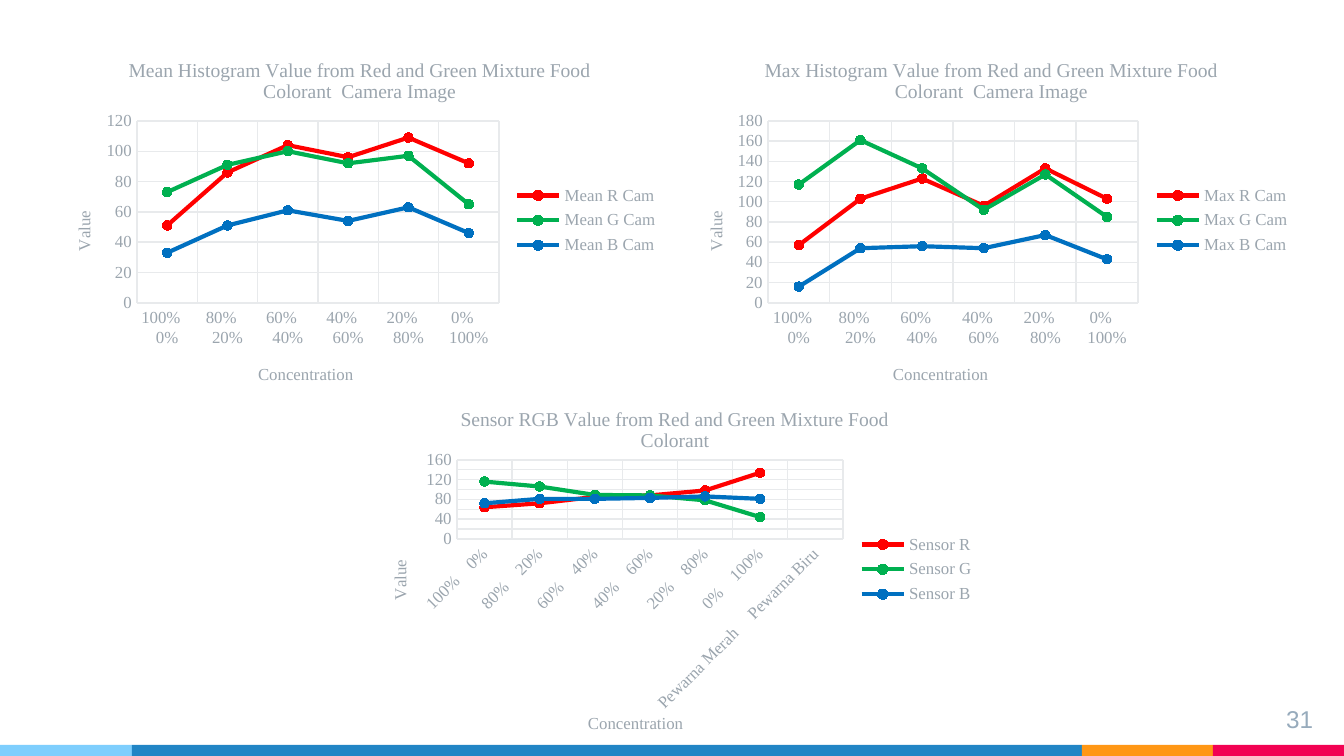
from pptx import Presentation
from pptx.chart.data import CategoryChartData
from pptx.dml.color import RGBColor
from pptx.enum.chart import XL_CHART_TYPE, XL_LEGEND_POSITION, XL_MARKER_STYLE, XL_TICK_MARK
from pptx.enum.shapes import MSO_SHAPE
from pptx.enum.text import PP_ALIGN
from pptx.oxml import parse_xml
from pptx.oxml.ns import nsdecls, qn
from pptx.util import Pt

PX = 914400 / 134.4
WIDE, HIGH = 632, 371  # size of each chart
FONT = "Times New Roman"
RED = RGBColor(0xFF, 0x00, 0x00)
GREEN = RGBColor(0x00, 0xB0, 0x50)
BLUE = RGBColor(0x00, 0x70, 0xC0)
GRAY = RGBColor(0x9B, 0xA5, 0xAE)
GRID = RGBColor(0xE8, 0xEA, 0xEC)
PAGE = RGBColor(0x97, 0xAB, 0xBC)
SKY = RGBColor(0x7E, 0xCE, 0xFD)
NAVY = RGBColor(0x21, 0x85, 0xC5)
AMBER = RGBColor(0xFF, 0x97, 0x15)
PINK = RGBColor(0xF2, 0x02, 0x53)


def place(node, left, top, width=None, height=None):
    """Fix a chart part at px offsets inside its chart."""
    tags = '<c:xMode val="edge"/><c:yMode val="edge"/>'
    if width:
        tags = '<c:layoutTarget val="inner"/>' + tags
    tags += f'<c:x val="{left / WIDE:.4f}"/><c:y val="{top / HIGH:.4f}"/>'
    if width:
        tags += f'<c:w val="{width / WIDE:.4f}"/><c:h val="{height / HIGH:.4f}"/>'
    for old in node.findall(qn("c:layout")):
        node.remove(old)
    layout = parse_xml(f'<c:layout {nsdecls("c")}><c:manualLayout>{tags}</c:manualLayout></c:layout>')
    text = node.find(qn("c:tx"))
    if text is None:
        node.insert(0, layout)
    else:
        text.addnext(layout)


def label(title, text, size, left, top):
    """Write and place a chart or axis title."""
    title.text_frame.text = text
    font = title.text_frame.paragraphs[0].runs[0].font
    font.size, font.name, font.bold = Pt(size), FONT, False
    font.color.rgb = GRAY
    place(title._element, left, top)


deck = Presentation()
deck.slide_width, deck.slide_height = int(1344 * PX), int(756 * PX)
slide = deck.slides.add_slide(deck.slide_layouts[6])

# Footer stripe
left = 0
for width, color in [(132, SKY), (950, NAVY), (131, AMBER), (131, PINK)]:
    bar = slide.shapes.add_shape(MSO_SHAPE.RECTANGLE, int(left * PX), int(745 * PX),
                                 int(width * PX), int(11 * PX))
    bar.shadow.inherit = False
    bar.fill.solid()
    bar.fill.fore_color.rgb = color
    bar.line.fill.background()
    left += width

# Page number
box = slide.shapes.add_textbox(int(1246 * PX), int(691 * PX), int(80 * PX), int(46 * PX))
frame = box.text_frame
frame.word_wrap = True
frame.margin_left = frame.margin_right = frame.margin_top = frame.margin_bottom = int(13 * PX)
frame.text = "31"
line = frame.paragraphs[0]
line.alignment = PP_ALIGN.RIGHT
font = line.runs[0].font
font.size, font.name = Pt(13), "Arial"
font.color.rgb = PAGE

# Charts: place, title, title left, axis name left, plot box, top value, extra categories, series
MIXES = ["100%    0%", "80%    20%", "60%    40%", "40%    60%", "20%    80%", "0%    100%"]
CHARTS = [
    (40, 35, "Mean Histogram Value from Red and Green Mixture Food Colorant  Camera Image",
     85, 215, (97, 86, 362, 182), 120, [],
     {"Mean R Cam": (51, 86, 104, 96, 109, 92),
      "Mean G Cam": (73, 91, 100, 92, 97, 65),
      "Mean B Cam": (33, 51, 61, 54, 63, 46)}),
    (672, 35, "Max Histogram Value from Red and Green Mixture Food Colorant  Camera Image",
     89, 218, (96, 86, 370, 182), 180, [],
     {"Max R Cam": (57, 103, 123, 96, 133, 103),
      "Max G Cam": (117, 161, 133, 92, 127, 85),
      "Max B Cam": (16, 54, 56, 54, 67, 43)}),
    (356, 384, "Sensor RGB Value from Red and Green Mixture Food Colorant",
     101, 229, (101, 76, 386, 79), 160, ["Pewarna Merah     Pewarna Biru"],
     {"Sensor R": (64, 72, 85, 88, 98, 134),
      "Sensor G": (116, 106, 89, 88, 78, 44),
      "Sensor B": (72, 81, 81, 83, 86, 81)}),
]
for left, top, name, head, foot, plot, peak, extra, rows in CHARTS:
    data = CategoryChartData()
    data.categories = MIXES + extra
    for key, vals in rows.items():
        data.add_series(key, list(vals) + [None] * len(extra))
    chart = slide.shapes.add_chart(XL_CHART_TYPE.LINE_MARKERS, int(left * PX), int(top * PX),
                                   int(WIDE * PX), int(HIGH * PX), data).chart
    chart.font.size, chart.font.name = Pt(9), FONT
    chart.font.color.rgb = GRAY
    label(chart.chart_title, name, 10.5, head, 20)
    place(chart._chartSpace.chart.plotArea, *plot)
    chart.has_legend = True
    chart.legend.position = XL_LEGEND_POSITION.RIGHT
    chart.legend.include_in_layout = False

    # Axes
    cats, vals = chart.category_axis, chart.value_axis
    for axis in (cats, vals):
        axis.has_major_gridlines = True
        axis.major_gridlines.format.line.color.rgb = GRID
        axis.major_gridlines.format.line.width = Pt(0.75)
        axis.major_tick_mark = axis.minor_tick_mark = XL_TICK_MARK.NONE
    cats.format.line.color.rgb = GRID
    cats.format.line.width = Pt(0.75)
    vals.format.line.fill.background()
    vals.minimum_scale, vals.maximum_scale, vals.major_unit = 0, peak, 20
    label(cats.axis_title, "Concentration", 9, foot, 325)
    label(vals.axis_title, "Value", 9, 30, 173)
    turn = vals.axis_title.text_frame._txBody.bodyPr
    turn.set("rot", "-5400000")
    turn.set("vert", "horz")

    # Series
    chart.plots[0].vary_by_categories = False
    for row, color in zip(chart.plots[0].series, (RED, GREEN, BLUE)):
        row.smooth = False
        row.format.line.color.rgb = color
        row.format.line.width = Pt(2.25)
        row.marker.style, row.marker.size = XL_MARKER_STYLE.CIRCLE, 5
        row.marker.format.fill.solid()
        row.marker.format.fill.fore_color.rgb = color
        row.marker.format.line.color.rgb = color

deck.save("out.pptx")
